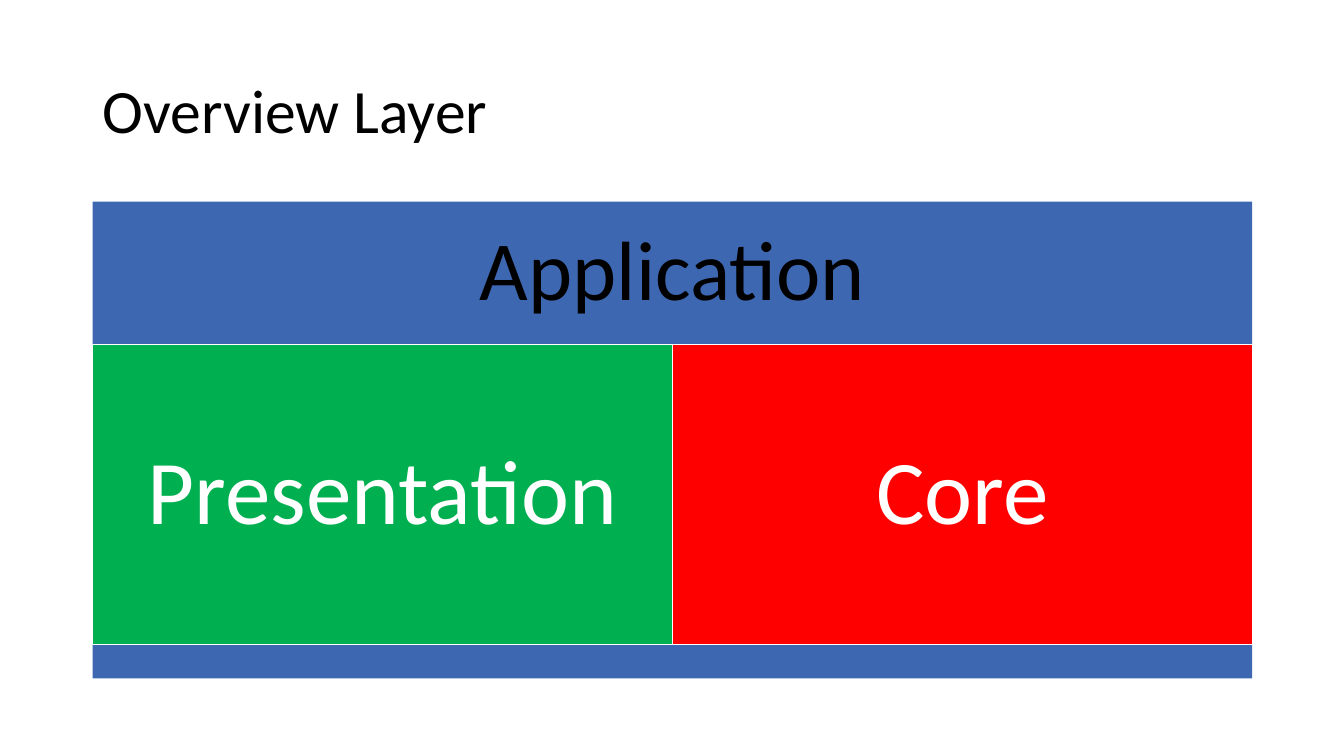
from pptx import Presentation
from pptx.dml.color import RGBColor
from pptx.enum import shapes, text
from pptx.util import Inches, Pt

COLORS = {
    "blue": "3E67B2",
    "green": "00B050",
    "red": "FF0000",
    "white": "FFFFFF",
    "black": "000000",
}
LEFT, WIDTH = 0.92, 11.5
HALF = WIDTH / 2
TOP, HEADER_H, LAYER_H, FOOTER_H = 2, 1.42, 2.98, 0.33


def rgb(name):
    return RGBColor.from_string(COLORS[name])


def write(sp, label, size, color, align):
    tf = sp.text_frame
    tf.text = label
    tf.word_wrap = True
    tf.auto_size = text.MSO_AUTO_SIZE.NONE
    tf.vertical_anchor = text.MSO_ANCHOR.MIDDLE
    p = tf.paragraphs[0]
    p.alignment = align
    p.line_spacing = 0.9
    font = p.runs[0].font
    font.name = "Calibri"
    font.size = Pt(size)
    font.color.rgb = rgb(color)


def add_title(slide, label):
    sp = slide.shapes.title
    sp.left, sp.top = Inches(LEFT), Inches(0.4)
    sp.width, sp.height = Inches(WIDTH), Inches(1.45)
    write(sp, label, 44, "black", text.PP_ALIGN.LEFT)


def add_block(slide, x, y, w, h, fill, line=None):
    sp = slide.shapes.add_shape(
        shapes.MSO_SHAPE.RECTANGLE, Inches(x), Inches(y), Inches(w), Inches(h))
    sp.shadow.inherit = False
    sp.fill.solid()
    sp.fill.fore_color.rgb = rgb(fill)
    if line:
        sp.line.color.rgb = rgb(line)
        sp.line.width = Pt(1)
    else:
        sp.line.fill.background()
    return sp


def add_label(sp, label, size, color, inset):
    write(sp, label, size, color, text.PP_ALIGN.CENTER)
    tf = sp.text_frame
    tf.margin_left = tf.margin_right = Inches(inset)
    tf.margin_top = tf.margin_bottom = Inches(inset)


def main():
    prs = Presentation()
    prs.slide_width, prs.slide_height = Inches(13.33), Inches(7.5)
    slide = prs.slides.add_slide(prs.slide_layouts[5])
    add_title(slide, "Overview Layer")

    header = add_block(slide, LEFT, TOP, WIDTH, HEADER_H, "blue")
    add_label(header, "Application", 60, "black", 0.25)

    layer_top = TOP + HEADER_H
    layers = [("Presentation", "green"), ("Core", "red")]
    for i, (label, fill) in enumerate(layers):
        sp = add_block(slide, LEFT + i * HALF, layer_top, HALF, LAYER_H, fill, "white")
        add_label(sp, label, 65, "white", 0.27)

    add_block(slide, LEFT, layer_top + LAYER_H, WIDTH, FOOTER_H, "blue")
    prs.save("out.pptx")


if __name__ == "__main__":
    main()
